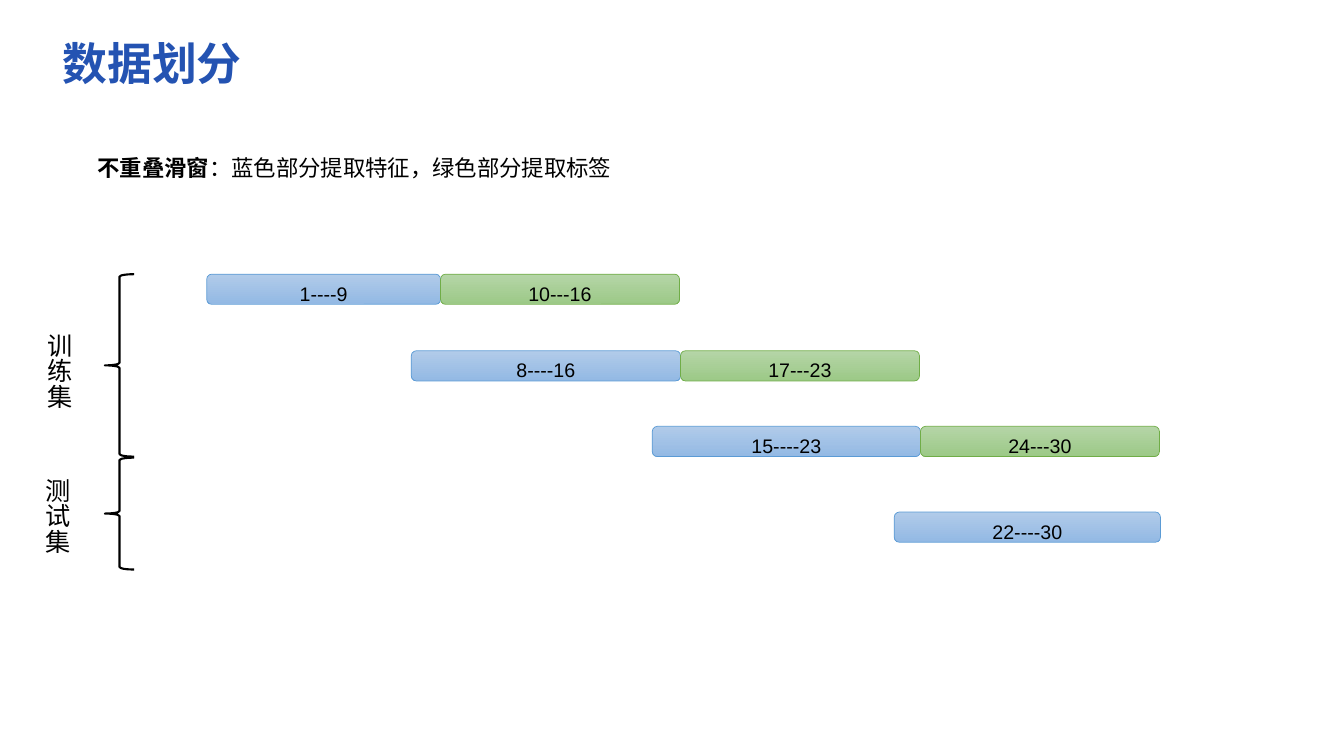
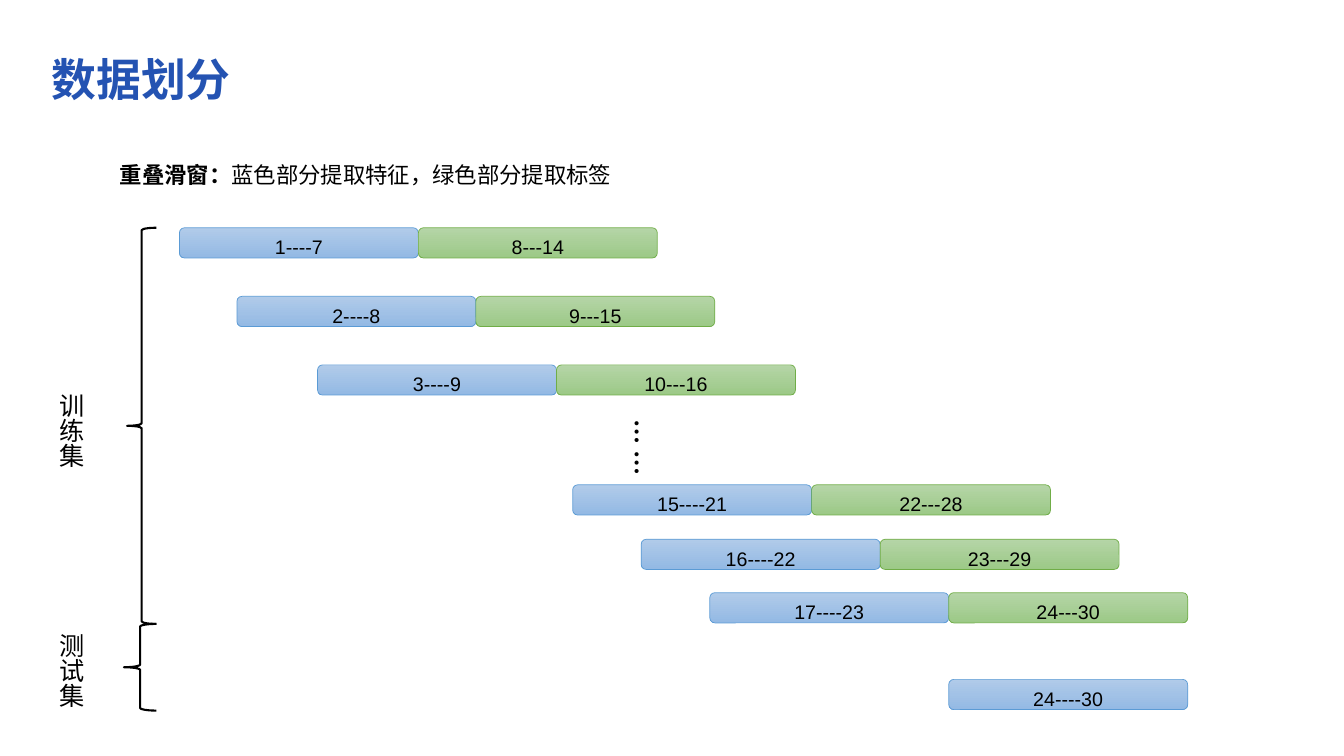
from pptx import Presentation
from pptx.dml.color import RGBColor
from pptx.enum.shapes import MSO_SHAPE as Preset
from pptx.enum.text import MSO_ANCHOR as Anchor, MSO_AUTO_SIZE as AutoSize, PP_ALIGN as Align
from pptx.oxml.ns import qn
from pptx.util import Inches, Pt

TITLE_BLUE = RGBColor(0x24, 0x53, 0xB2)
BLACK = RGBColor(0, 0, 0)
FEATURE_COLORS = (RGBColor(0xB1, 0xCB, 0xE9), RGBColor(0x93, 0xB9, 0xE4), RGBColor(0x5B, 0x9B, 0xD5))
LABEL_COLORS = (RGBColor(0xB5, 0xD5, 0xA7), RGBColor(0x9C, 0xC9, 0x87), RGBColor(0x70, 0xAD, 0x47))
CJK = "Noto Sans CJK SC"
BAR_WIDTH, BAR_HEIGHT = 2.37, 0.3
SEAM_STEP = 2.38

TITLE = "数据划分"
TRAIN, TEST = "训练集", "测试集"

# (top, seam between feature and label, feature width, feature days, label days)
SLIDES = [
    {
        "title_at": (0.52, 0.31),
        "note_at": (0.87, 1.48),
        "note": ("不重叠滑窗", "：蓝色部分提取特征，绿色部分提取标签"),
        "windows": [
            (2.72, 4.37, 2.32, "1----9", "10---16"),
            (3.48, 4.37 + SEAM_STEP, 2.67, "8----16", "17---23"),
            (4.23, 4.37 + 2 * SEAM_STEP, 2.66, "15----23", "24---30"),
            (5.08, 4.37 + 3 * SEAM_STEP, 2.64, "22----30", None),
        ],
        "braces": [(1.04, 2.72, 0.29, 1.81), (1.04, 4.54, 0.29, 1.11)],
        "vertical": [(0.29, 3.21, 0.86, TRAIN, False), (0.27, 4.65, 0.86, TEST, False)],
    },
    {
        "title_at": (0.41, 0.47),
        "note_at": (1.09, 1.55),
        "note": ("重叠滑窗：", "蓝色部分提取特征，绿色部分提取标签"),
        "windows": [
            (2.26, 4.15, BAR_WIDTH, "1----7", "8---14"),
            (2.94, 4.72, BAR_WIDTH, "2----8", "9---15"),
            (3.62, 5.52, BAR_WIDTH, "3----9", "10---16"),
            (4.81, 8.05, BAR_WIDTH, "15----21", "22---28"),
            (5.35, 8.73, BAR_WIDTH, "16----22", "23---29"),
            (5.88, 9.41, BAR_WIDTH, "17----23", "24---30"),
            (6.74, 11.78, BAR_WIDTH, "24----30", None),
        ],
        "braces": [(1.26, 2.26, 0.29, 3.93), (1.23, 6.19, 0.32, 0.86)],
        "vertical": [
            (0.41, 3.8, 0.86, TRAIN, False),
            (0.41, 6.18, 0.86, TEST, False),
            (6.02, 4.06, 0.58, "… …", True),
        ],
    },
]


def box(*lengths):
    return [Inches(length) for length in lengths]


def style(run, font, size, color=BLACK, bold=False):
    run.font.name, run.font.size, run.font.bold = font, Pt(size), bold
    run.font.color.rgb = color
    east_asian = run.font._element.makeelement(qn("a:ea"), {"typeface": font})
    run.font._element.find(qn("a:latin")).addnext(east_asian)


def add_title(slide, left, top):
    title = slide.shapes.title
    title.left, title.top, title.width, title.height = box(left, top, 10.86, 0.62)
    frame = title.text_frame
    frame.text = TITLE
    frame.auto_size, frame.vertical_anchor = AutoSize.NONE, Anchor.MIDDLE
    frame.paragraphs[0].alignment = Align.LEFT
    style(frame.paragraphs[0].runs[0], "DejaVu Sans", 32, TITLE_BLUE, True)


def add_note(slide, left, top, parts):
    frame = slide.shapes.add_textbox(*box(left, top, 11.4, 0.37)).text_frame
    frame.word_wrap = True
    for index, part in enumerate(parts):
        run = frame.paragraphs[0].add_run()
        run.text = part
        style(run, CJK, 16, bold=index == 0)


def add_bar(slide, left, top, width, days, colors):
    bar = slide.shapes.add_shape(Preset.ROUNDED_RECTANGLE, *box(left, top, width, BAR_HEIGHT))
    bar.shadow.inherit = False
    bar.fill.gradient()
    bar.fill.gradient_angle = 270
    for stop, color in zip(bar.fill.gradient_stops, colors):
        stop.color.rgb, stop.position = color, colors.index(color)
    bar.line.color.rgb, bar.line.width = colors[2], Pt(0.5)
    frame = bar.text_frame
    frame.text = days
    frame.margin_top, frame.margin_bottom = Inches(0.08), 0
    frame.vertical_anchor = Anchor.MIDDLE
    frame.paragraphs[0].alignment = Align.CENTER
    style(frame.paragraphs[0].runs[0], "Arial", 14)


def add_brace(slide, *place):
    brace = slide.shapes.add_shape(Preset.LEFT_BRACE, *box(*place))
    brace.shadow.inherit = False
    brace.fill.background()
    brace.line.color.rgb, brace.line.width = BLACK, Pt(1.5)


def add_vertical(slide, left, top, height, words, bold):
    frame = slide.shapes.add_textbox(*box(left, top, 0.5, height)).text_frame
    frame.text = words
    frame.word_wrap, frame.auto_size = False, AutoSize.SHAPE_TO_FIT_TEXT
    frame._txBody.bodyPr.set("vert", "eaVert")
    style(frame.paragraphs[0].runs[0], CJK, 18, bold=bold)


def main():
    deck = Presentation()
    deck.slide_width, deck.slide_height = box(13.33, 7.5)
    for content in SLIDES:
        slide = deck.slides.add_slide(deck.slide_layouts[5])
        add_title(slide, *content["title_at"])
        add_note(slide, *content["note_at"], content["note"])
        for top, seam, width, feature, label in content["windows"]:
            add_bar(slide, seam - width, top, width, feature, FEATURE_COLORS)
            if label:
                add_bar(slide, seam, top, BAR_WIDTH, label, LABEL_COLORS)
        for place in content["braces"]:
            add_brace(slide, *place)
        for words in content["vertical"]:
            add_vertical(slide, *words)
    deck.save("out.pptx")


if __name__ == "__main__":
    main()
